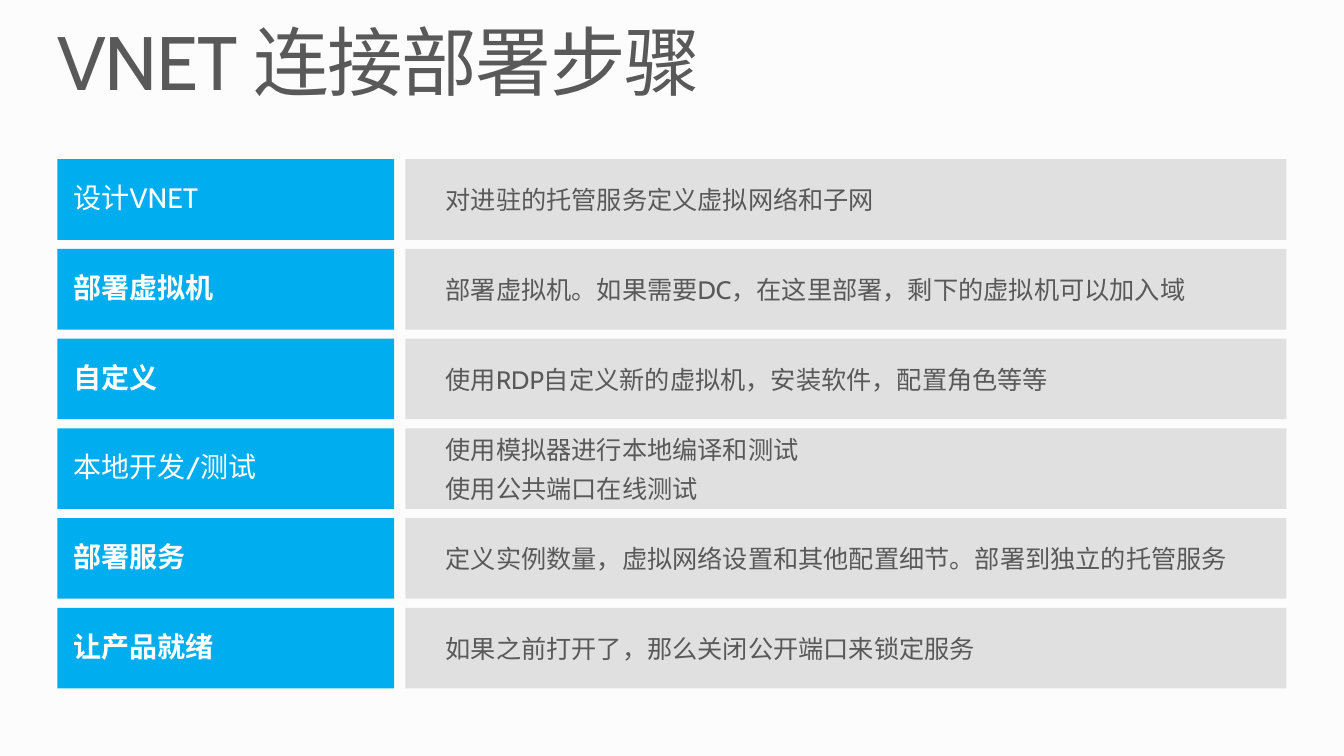
import pptx
import pptx.util
import pptx.dml.color
import pptx.enum.shapes
import pptx.enum.text
import pptx.oxml
import pptx.oxml.ns

TITLE = "VNET 连接部署步骤"
STEPS = [  # label, bold, lines
    ("设计VNET", False, ["对进驻的托管服务定义虚拟网络和子网"]),
    ("部署虚拟机", True, ["部署虚拟机。如果需要DC，在这里部署，剩下的虚拟机可以加入域"]),
    ("自定义", True, ["使用RDP自定义新的虚拟机，安装软件，配置角色等等"]),
    ("本地开发/测试", False, ["使用模拟器进行本地编译和测试", "使用公共端口在线测试"]),
    ("部署服务", True, ["定义实例数量，虚拟网络设置和其他配置细节。部署到独立的托管服务"]),
    ("让产品就绪", True, ["如果之前打开了，那么关闭公开端口来锁定服务"]),
]
COLORS = {"back": "FCFCFC", "text": "595959", "label": "00AEEF",
          "detail": "DDDDDD", "white": "FFFFFF"}
FONT = "Cabin"
LEFT, TOP, PITCH, HEIGHT = 0.57, 1.58, 0.89, 0.8
LABEL_W, GAP, DETAIL_W = 3.34, 0.11, 8.74

Inches, Pt = pptx.util.Inches, pptx.util.Pt


def rgb(name):
    return pptx.dml.color.RGBColor.from_string(COLORS[name])


def style(para, size, color, bold=False):
    para.alignment = pptx.enum.text.PP_ALIGN.LEFT
    font = para.font
    font.name, font.size, font.bold = FONT, Pt(size), bold
    font.color.rgb = rgb(color)


def inset(frame, sides):
    """Set the left, top, right and bottom margins in inches."""
    (frame.margin_left, frame.margin_top,
     frame.margin_right, frame.margin_bottom) = map(Inches, sides)
    frame.word_wrap = True


def add_box(left, top, width, fill, sides, lines):
    box = slide.shapes.add_shape(
        pptx.enum.shapes.MSO_SHAPE.RECTANGLE,
        Inches(left), Inches(top), Inches(width), Inches(HEIGHT))
    box.shadow.inherit = False
    box.fill.solid()
    box.fill.fore_color.rgb = rgb(fill)
    box.line.fill.background()
    frame = box.text_frame
    inset(frame, sides)
    frame.vertical_anchor = pptx.enum.text.MSO_ANCHOR.MIDDLE
    frame.text = "\n".join(lines)
    return box


def fade(box, percent):
    """Make the solid fill of a box partly see-through."""
    color = box.element.spPr.find(".//" + pptx.oxml.ns.qn("a:srgbClr"))
    color.append(pptx.oxml.parse_xml(
        f'<a:alpha {pptx.oxml.ns.nsdecls("a")} val="{percent * 1000}"/>'))


deck = pptx.Presentation()
deck.slide_width, deck.slide_height = Inches(13.33), Inches(7.5)
slide = deck.slides.add_slide(deck.slide_layouts[5])
slide.background.fill.solid()
slide.background.fill.fore_color.rgb = rgb("back")

title = slide.shapes.title
title.left, title.top = Inches(LEFT), Inches(0.25)
title.width, title.height = Inches(12.19), Inches(0.82)
frame = title.text_frame
inset(frame, (0, 0, 0, 0))
frame.vertical_anchor = pptx.enum.text.MSO_ANCHOR.TOP
frame.text = TITLE
head = frame.paragraphs[0]
style(head, 54, "text")
head.line_spacing = 0.9
head.runs[0]._r.get_or_add_rPr().set("spc", "-100")

for row, (label, bold, lines) in enumerate(STEPS):
    top = TOP + row * PITCH
    box = add_box(LEFT, top, LABEL_W, "label", (0.16, 0.1, 0.16, 0.1), [label])
    para = box.text_frame.paragraphs[0]
    style(para, 20, "white", bold)
    para.line_spacing, para.space_after = 0.9, Pt(7)

    box = add_box(LEFT + LABEL_W + GAP, top, DETAIL_W, "detail",
                  (0.4, 0.05, 0.1, 0.05), lines)
    fade(box, 90)
    for para in box.text_frame.paragraphs:
        style(para, 18, "text")
        para.space_before = Pt(6)

deck.save("out.pptx")
